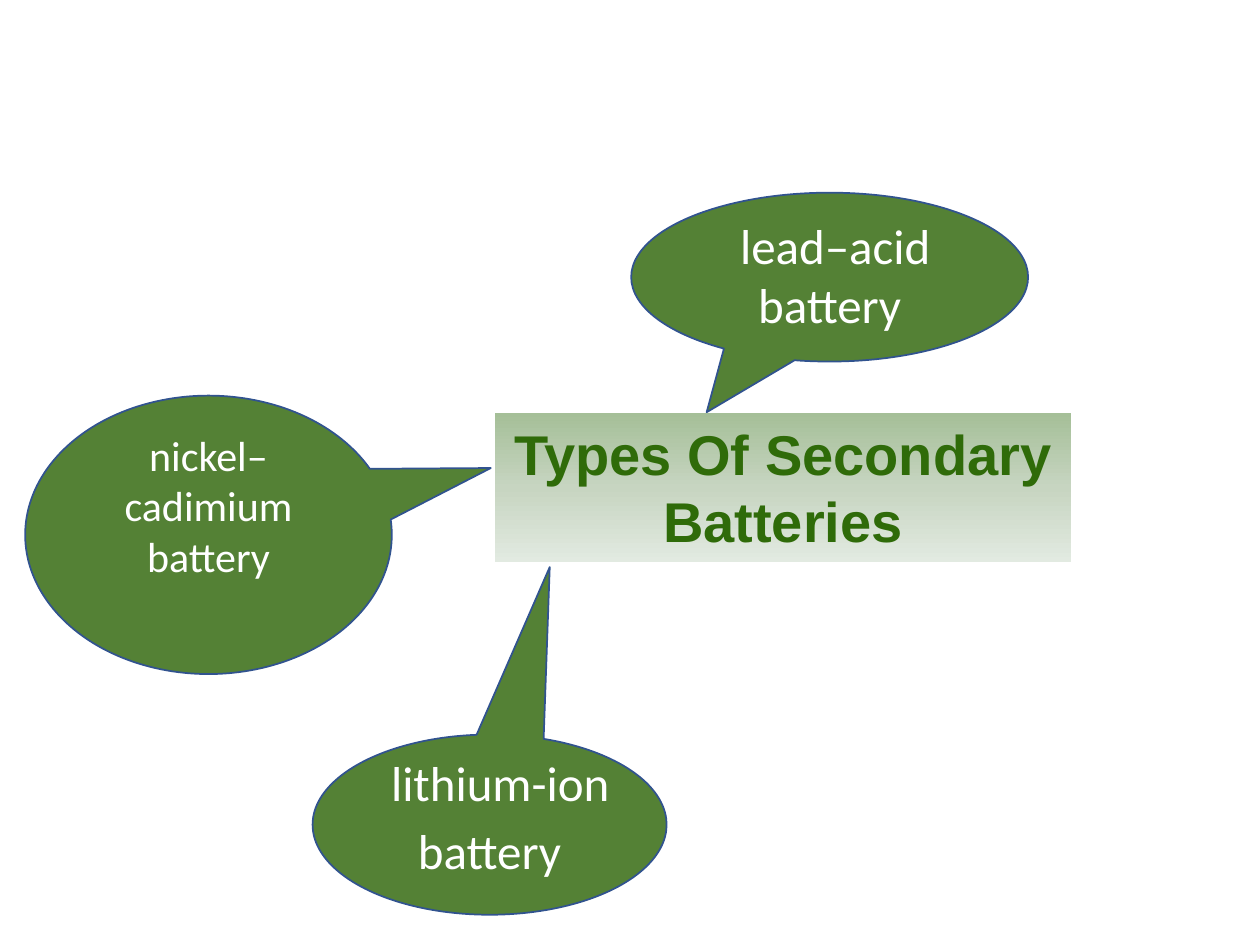
from copy import deepcopy

from pptx import Presentation
from pptx.dml.color import RGBColor as RGB
from pptx.enum.shapes import MSO_SHAPE as Kind
from pptx.enum.text import MSO_ANCHOR as Anchor, MSO_AUTO_SIZE as Auto, PP_ALIGN as Align
from pptx.util import Pt

PX = 9144  # 100 px to the inch
WHITE = RGB(0xFF, 0xFF, 0xFF)
DARK = RGB(0x2F, 0x6B, 0x09)
GREEN = RGB(0x54, 0x81, 0x35)
BLUE = RGB(0x31, 0x53, 0x8F)
FADE = [(0, RGB(0xA5, 0xBF, 0x98)), (0.5, RGB(0xC7, 0xD5, 0xC1)), (1, RGB(0xE2, 0xEA, 0xE1))]


def scale(box):
    return [n * PX for n in box]


def write(shape, runs, **style):
    """Fill a shape with one centred paragraph of (text, size) runs."""
    frame = shape.text_frame
    frame.word_wrap = True
    frame.auto_size = Auto.SHAPE_TO_FIT_TEXT
    frame.vertical_anchor = Anchor.TOP
    para = frame.paragraphs[0]
    para.alignment = Align.CENTER
    for text, size in runs:
        run = para.add_run()
        run.text = text
        run.font.size = Pt(size)
        run.font.color.rgb = style["color"]
        run.font.name = style["name"]
        run.font.bold = style["bold"]


deck = Presentation()
deck.slide_width, deck.slide_height = scale((1000, 750))
slide = deck.slides.add_slide(deck.slide_layouts[5])
shapes = slide.shapes

# Title on a fading green panel
title = shapes.title
title.left, title.top, title.width, title.height = scale((393, 328, 457, 118))
write(title, [("Types Of Secondary Batteries", 32)], color=DARK, name="Arial", bold=True)
fill = title.fill
fill.gradient()
fill.gradient_angle = 270
first = title._element.spPr.xpath(".//a:gs")[0]
first.addnext(deepcopy(first))
for stop, (place, color) in zip(fill.gradient_stops, FADE):
    stop.position = place
    stop.color.rgb = color

# Callouts: box, pointer tip, turn, label box, label runs
types = [
    ((501, 153, 315, 134), (-0.31, 0.8), 0,
     (560, 166, 197, 104), [(" ", 28), ("lead–acid battery", 28)]),
    ((20, 314, 291, 221), (0.77, -0.24), 0,
     (73, 336, 185, 131), [("nickel–cadimium battery", 24)]),
    ((248, 583, 281, 143), (-0.17, 1.43), 180,
     (242, 556, 293, 148), [(" ", 54), ("lithium-ion battery", 28)]),
]
for box, tip, turn, spot, runs in types:
    call = shapes.add_shape(Kind.OVAL_CALLOUT, *scale(box))
    call.adjustments[0], call.adjustments[1] = tip
    call.rotation = turn
    call.shadow.inherit = False
    call.fill.solid()
    call.fill.fore_color.rgb = GREEN
    call.line.color.rgb = BLUE
    call.line.width = Pt(1)
    label = shapes.add_textbox(*scale(spot))
    write(label, runs, color=WHITE, name="Calibri", bold=False)

deck.save("out.pptx")
